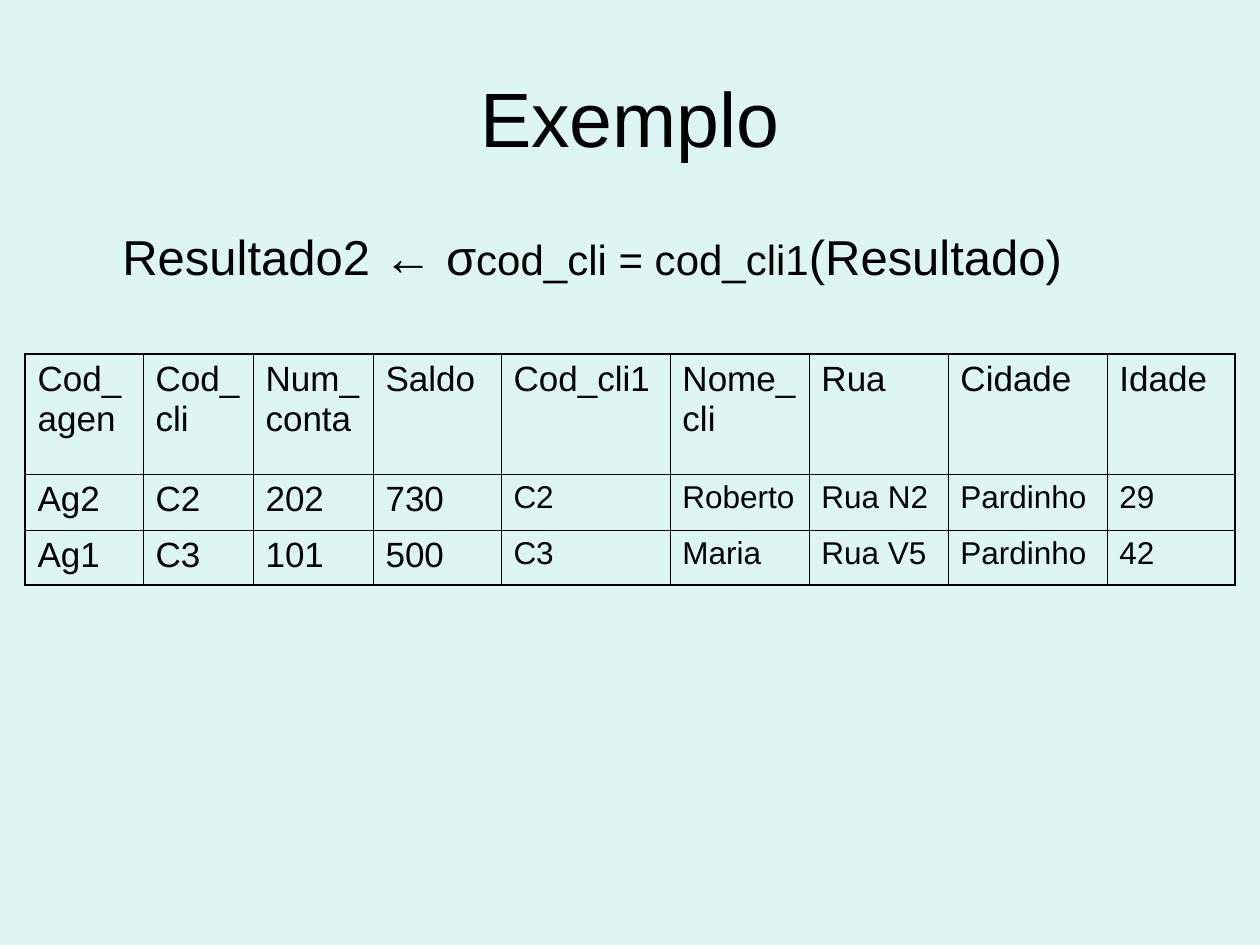
from lxml.etree import SubElement as Sub
from pptx import Presentation
from pptx.dml.color import RGBColor
from pptx.enum.text import MSO_ANCHOR as Anchor, PP_ALIGN as Align
from pptx.oxml.ns import qn
from pptx.util import Pt

MINT = RGBColor(0xDE, 0xF6, 0xF1)
BLACK = RGBColor(0, 0, 0)
FONT = "Arial"
THICK, THIN = 1.08, 0.45

TITLE = [("Exemplo", 44)]
QUERY = [("Resultado2 ← σ", 28), ("cod_cli = cod_cli1", 24), ("(Resultado)", 28)]
ROWS = [
    ["Cod_agen", "Cod_cli", "Num_conta", "Saldo", "Cod_cli1", "Nome_cli", "Rua", "Cidade", "Idade"],
    ["Ag2", "C2", "202", "730", "C2", "Roberto", "Rua N2", "Pardinho", "29"],
    ["Ag1", "C3", "101", "500", "C3", "Maria", "Rua V5", "Pardinho", "42"],
]
WIDTHS = [118, 110, 120, 128, 169, 139, 139, 159, 128]
HEIGHTS = [120, 56, 55]
JOINED = 4


def px(n):
    return round(n * 914400 / 126)


def write(frame, runs, align=Align.LEFT, anchor=Anchor.TOP, indent=0):
    frame.word_wrap = True
    frame.vertical_anchor = anchor
    para = frame.paragraphs[0]
    para.alignment = align
    if indent:
        para._p.get_or_add_pPr().set("marL", str(px(indent)))
    for text, size in runs:
        run = para.add_run()
        run.text = text
        font = run.font
        font.name, font.size, font.bold = FONT, Pt(size), False
        font.color.rgb = BLACK


def add_text(slide, box, runs, **style):
    shape = slide.shapes.add_textbox(*map(px, box))
    write(shape.text_frame, runs, **style)


def border(cell, sides):
    props = cell._tc.get_or_add_tcPr()
    for i, (side, outer) in enumerate(sides.items()):
        line = Sub(props, qn(f"a:ln{side}"), w=str(Pt(THICK if outer else THIN)))
        fill = Sub(line, qn("a:solidFill"))
        Sub(fill, qn("a:srgbClr"), val=str(BLACK))
        props.insert(i, line)


def add_grid(slide, left, top):
    size = map(px, (left, top, sum(WIDTHS), sum(HEIGHTS)))
    table = slide.shapes.add_table(len(ROWS), len(WIDTHS), *size).table
    table.first_row = table.horz_banding = False
    for col, width in zip(table.columns, WIDTHS):
        col.width = px(width)
    for row, height in zip(table.rows, HEIGHTS):
        row.height = px(height)
    for r, texts in enumerate(ROWS):
        for c, text in enumerate(texts):
            cell = table.cell(r, c)
            write(cell.text_frame, [(text, 18 if r and c >= JOINED else 20)])
            cell.fill.background()
            border(cell, {"L": c == 0, "R": c == len(WIDTHS) - 1,
                          "T": r == 0, "B": r == len(ROWS) - 1})


def main():
    deck = Presentation()
    deck.slide_width, deck.slide_height = px(1260), px(945)
    slide = deck.slides.add_slide(deck.slide_layouts[6])
    back = slide.background.fill
    back.solid()
    back.fore_color.rgb = MINT
    add_text(slide, (63, 38, 1134, 157), TITLE, align=Align.CENTER, anchor=Anchor.MIDDLE)
    add_text(slide, (63, 220, 1103, 103), QUERY, indent=47)
    add_grid(slide, 25, 354)
    deck.save("out.pptx")


if __name__ == "__main__":
    main()
